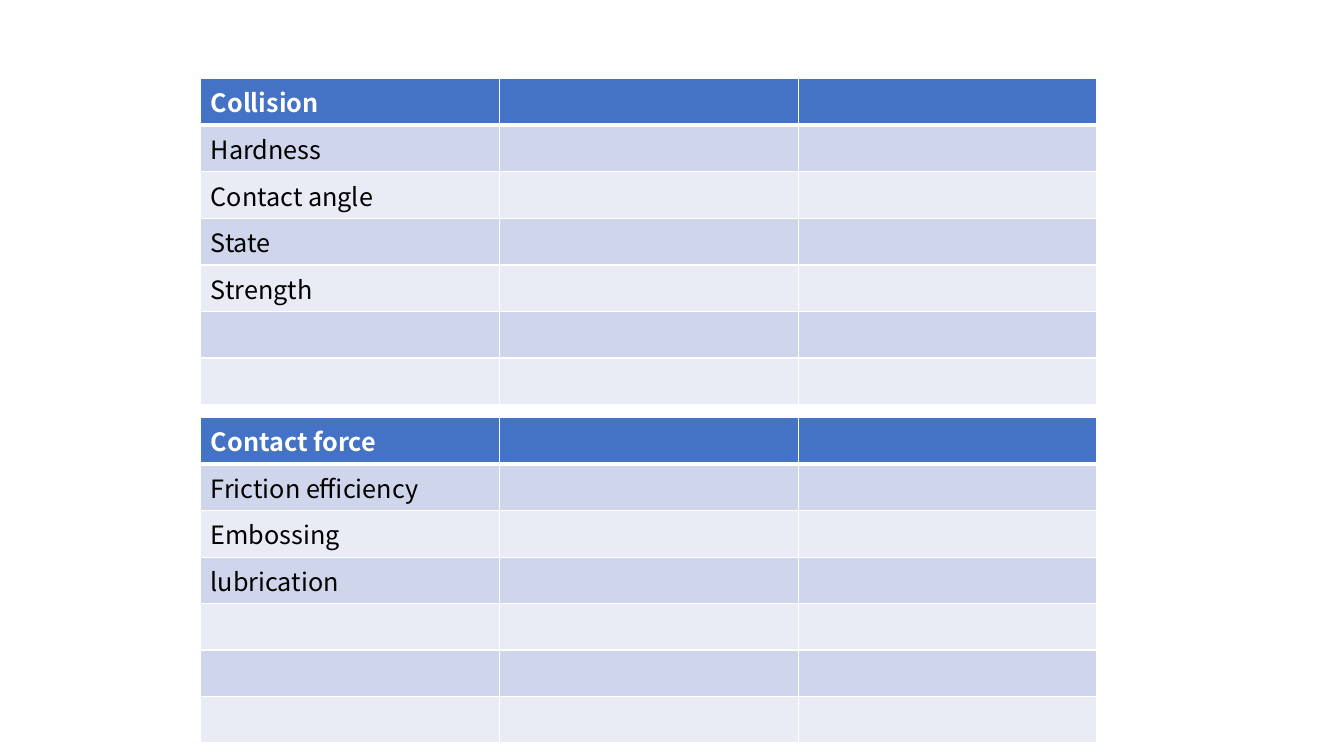
import pptx
import pptx.util
import pptx.dml.color
import pptx.oxml.ns
from lxml import etree

Inches = pptx.util.Inches
Pt = pptx.util.Pt
RGBColor = pptx.dml.color.RGBColor
qn = pptx.oxml.ns.qn

TABLES = [
    (0.78, ["Collision", "Hardness", "Contact angle", "State", "Strength"]),
    (4.14, ["Contact force", "Friction efficiency", "Embossing", "lubrication"]),
]
ROWS, COLUMNS = 7, 3
LEFT, WIDTH, ROW_HEIGHT = 1.99, 8.89, 0.46
FONT = "Noto Sans CJK KR"
WHITE = RGBColor(0xFF, 0xFF, 0xFF)
BLACK = RGBColor(0x00, 0x00, 0x00)
HEADER = RGBColor(0x44, 0x72, 0xC4)
BANDS = [RGBColor(0xE9, 0xEB, 0xF5), RGBColor(0xCF, 0xD5, 0xEA)]


def add_borders(cell, row):
    properties = cell._tc.get_or_add_tcPr()
    widths = {"lnL": 1, "lnR": 1, "lnT": 3 if row == 1 else 1, "lnB": 3 if row == 0 else 1}
    for side, width in widths.items():
        line = etree.SubElement(properties, qn("a:" + side), w=str(Pt(width)))
        solid = etree.SubElement(line, qn("a:solidFill"))
        etree.SubElement(solid, qn("a:srgbClr"), val=str(WHITE))


def format_cell(cell, row, text):
    add_borders(cell, row)
    cell.fill.solid()
    cell.fill.fore_color.rgb = HEADER if row == 0 else BANDS[row % 2]
    if not text:
        return
    cell.text_frame.text = text
    font = cell.text_frame.paragraphs[0].runs[0].font
    font.name = FONT
    font.size = Pt(18)
    font.bold = row == 0
    font.color.rgb = WHITE if row == 0 else BLACK


def add_property_table(page, top, labels):
    table = page.shapes.add_table(
        ROWS, COLUMNS, Inches(LEFT), Inches(top), Inches(WIDTH), Inches(ROWS * ROW_HEIGHT)
    ).table
    for row in range(ROWS):
        table.rows[row].height = Inches(ROW_HEIGHT)
        for column in range(COLUMNS):
            text = labels[row] if column == 0 and row < len(labels) else ""
            format_cell(table.cell(row, column), row, text)


def main():
    deck = pptx.Presentation()
    deck.slide_width = Inches(13.33)
    deck.slide_height = Inches(7.5)
    page = deck.slides.add_slide(deck.slide_layouts[6])
    for top, labels in TABLES:
        add_property_table(page, top, labels)
    deck.save("out.pptx")


if __name__ == "__main__":
    main()
